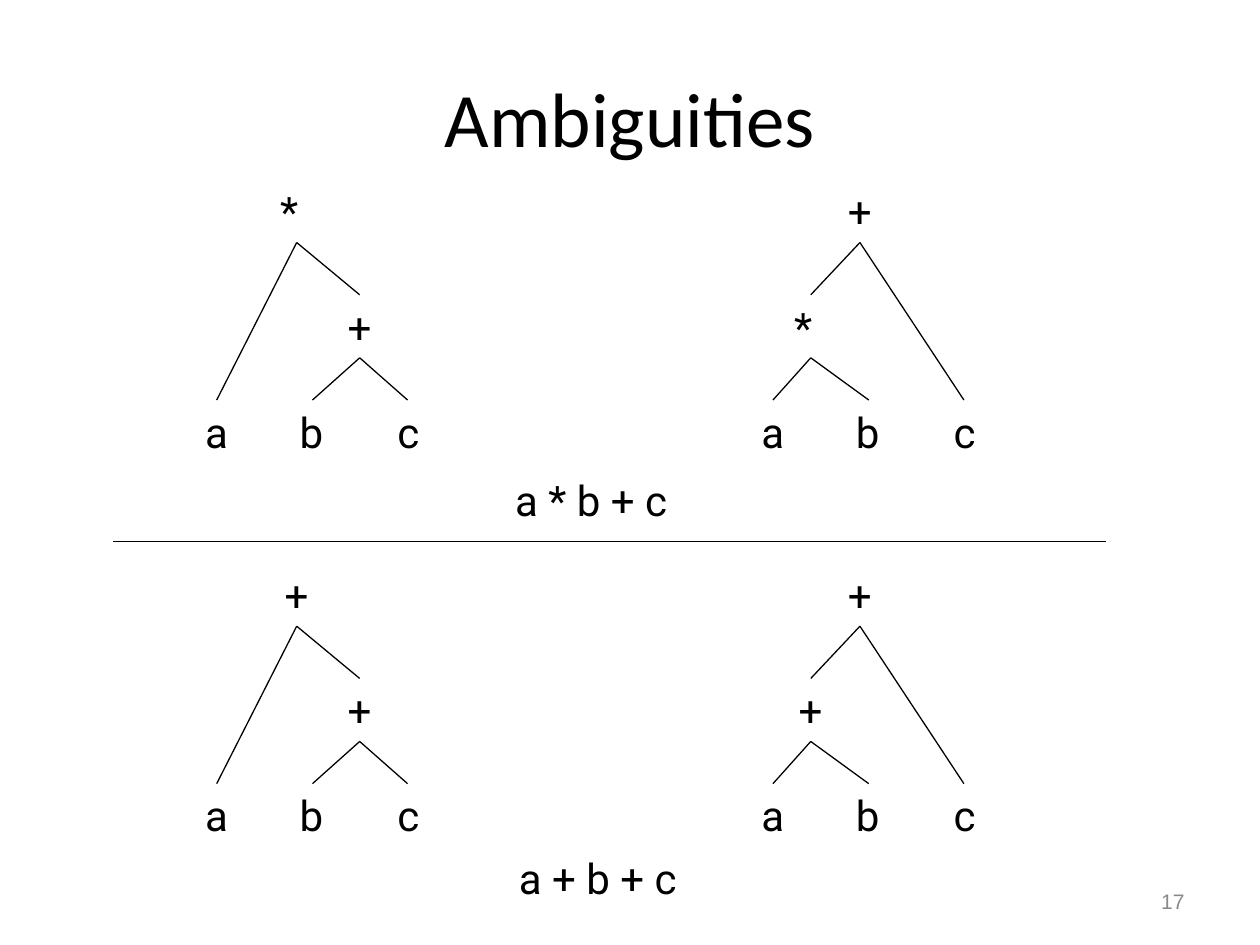
from lxml import etree
from pptx import Presentation
from pptx import util as u
from pptx.dml.color import RGBColor
from pptx.enum import shapes, text
from pptx.oxml.ns import qn

BLACK = RGBColor(0x00, 0x00, 0x00)
GREY = RGBColor(0x89, 0x89, 0x89)

prs = Presentation()
prs.slide_width, prs.slide_height = u.Inches(10), u.Inches(7.5)
COL = prs.slide_width / 100
ROW = prs.slide_height / 75
s = prs.slides.add_slide(prs.slide_layouts[6])


def add_text(parent, words, x, y, w, h, size=24, font="Roboto", color=BLACK,
             align=text.PP_ALIGN.LEFT, anchor=text.MSO_ANCHOR.TOP, wrap=False):
    """Put one run of text in a box given in columns and rows."""
    sp = parent.add_textbox(round(x * COL), round(y * ROW), round(w * COL), round(h * ROW))
    tf = sp.text_frame
    tf.word_wrap = wrap
    tf.auto_size = text.MSO_AUTO_SIZE.NONE if wrap else text.MSO_AUTO_SIZE.SHAPE_TO_FIT_TEXT
    tf.vertical_anchor = anchor
    p = tf.paragraphs[0]
    p.alignment = align
    r = p.add_run()
    r.text = words
    r.font.size, r.font.name, r.font.color.rgb = u.Pt(size), font, color


def add_line(parent, x1, y1, x2, y2):
    """Draw a thin black line between two grid points."""
    line = parent.add_connector(shapes.MSO_CONNECTOR.STRAIGHT, round(x1 * COL),
                                round(y1 * ROW), round(x2 * COL), round(y2 * ROW))
    line.line.color.rgb = BLACK
    line.line.width = u.Pt(0.75)
    etree.SubElement(line._element.spPr, qn("a:effectLst"))


add_text(s.shapes, "Ambiguities", 5, 3, 90, 12.5, 44, "Calibri",
         align=text.PP_ALIGN.CENTER, anchor=text.MSO_ANCHOR.MIDDLE, wrap=True)
add_text(s.shapes, "17", 71.7, 69.5, 23.3, 4, 12, "Arial", GREY,
         text.PP_ALIGN.RIGHT, text.MSO_ANCHOR.MIDDLE, True)

# Node centres in columns; levels are row offsets from the top of a tree
LABEL_WIDTH = {"a": 3.8, "b": 4, "c": 3.6, "+": 3.9, "*": 3.8}
LABEL_HEIGHT = 5
LEVEL = {"root": 0, "inner": 9.15, "a": 17.5, "b": 17.5, "c": 17.5}
LEFT_NODES = {"a": 17.2, "b": 24.8, "c": 32.35, "inner": 28.55, "root": 23.55}
RIGHT_NODES = {"a": 61.35, "b": 68.95, "c": 76.5, "inner": 64.35, "root": 68.25}
LEFT_EDGES = ["root a", "root inner", "inner b", "inner c"]
RIGHT_EDGES = ["root inner", "inner a", "inner b", "root c"]
STAR_SHIFT = -0.4

# Tree top, then the operators of the left and right tree
for top, left_ops, right_ops in [
    (14.25, {"root": "*", "inner": "+"}, {"root": "+", "inner": "*"}),
    (44.7, {"root": "+", "inner": "+"}, {"root": "+", "inner": "+"}),
]:
    for nodes, edges, ops in [(LEFT_NODES, LEFT_EDGES, left_ops),
                              (RIGHT_NODES, RIGHT_EDGES, right_ops)]:
        tree = s.shapes.add_group_shape().shapes
        for node, x in nodes.items():
            label = ops.get(node, node)
            width = LABEL_WIDTH[label]
            shift = STAR_SHIFT if label == "*" else 0
            add_text(tree, label, x + shift - width / 2, top + LEVEL[node],
                     width, LABEL_HEIGHT)
        for edge in edges:
            parent, child = edge.split()
            add_line(tree, nodes[parent], top + LEVEL[parent] + LABEL_HEIGHT,
                     nodes[child], top + LEVEL[child])

add_text(s.shapes, "a * b + c", 39.9, 37.2, 14.7, LABEL_HEIGHT)
add_line(s.shapes, 9, 43, 87.8, 43)
add_text(s.shapes, "a + b + c", 40.2, 67.2, 14.8, LABEL_HEIGHT)

prs.save("out.pptx")
